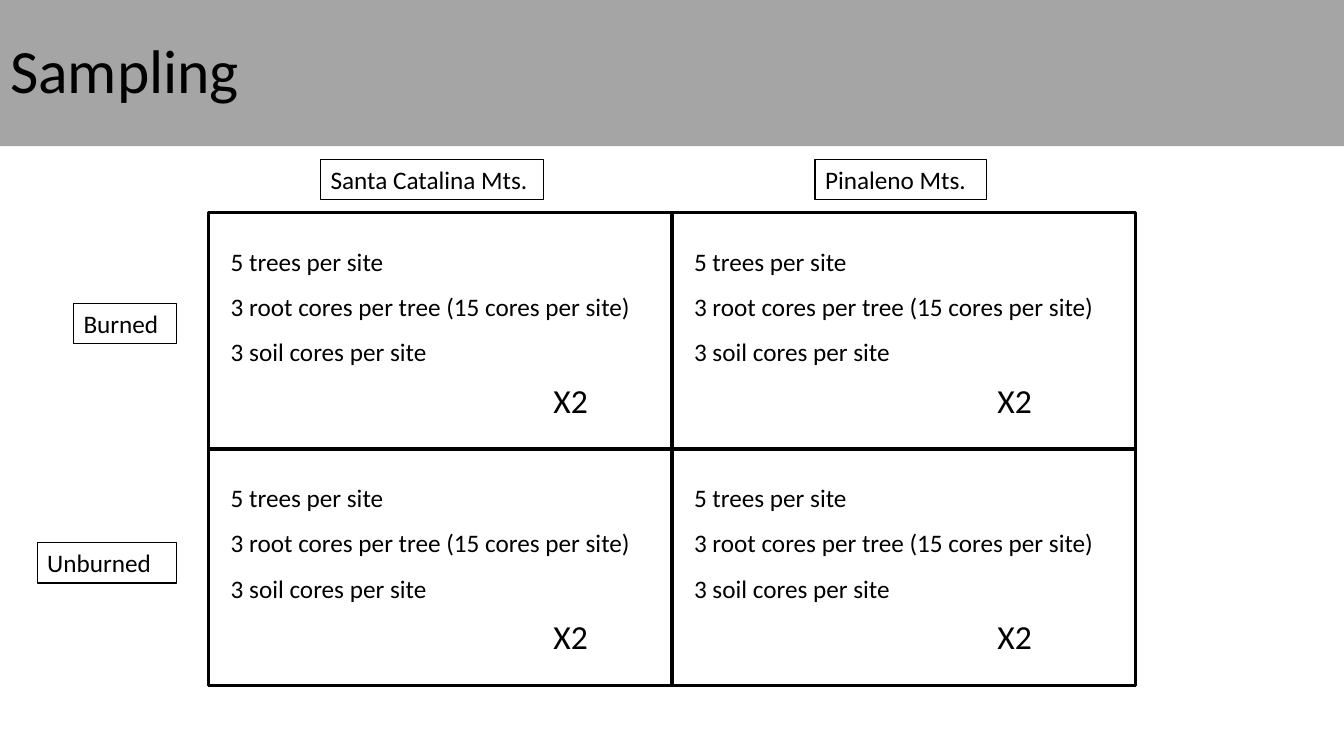
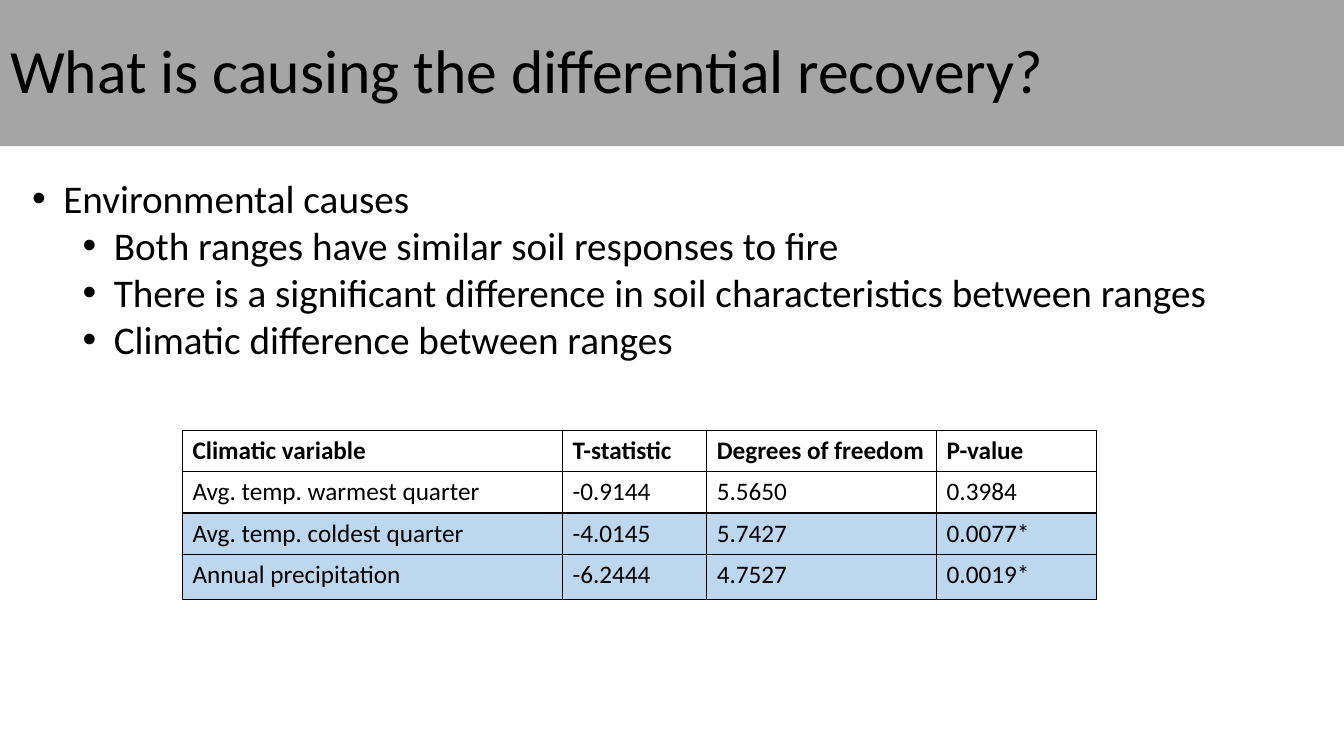
from dataclasses import dataclass

from lxml.etree import SubElement
from pptx import Presentation
from pptx.dml.color import RGBColor
from pptx.enum.shapes import MSO_CONNECTOR as Connector, MSO_SHAPE as Shape
from pptx.enum.text import MSO_ANCHOR as Anchor, MSO_AUTO_SIZE as AutoSize, PP_ALIGN as Align
from pptx.oxml.ns import qn
from pptx.util import Inches, Pt


@dataclass(frozen=True)
class Theme:
    """Colours, font, type sizes and line widths shared by the slides."""
    font: str = "Calibri"
    ink: str = "000000"
    band: str = "A5A5A5"
    paper: str = "FFFFFF"
    highlight: str = "BDD7EE"
    title_size: int = 44
    bullet_size: int = 28
    repeat_size: int = 24
    body_size: int = 18
    thick: float = 2.25
    thin: float = 1


@dataclass(frozen=True)
class Box:
    """A rectangle in inches."""
    left: float
    top: float
    width: float
    height: float

    def inches(self):
        """Return the four lengths for a python-pptx call."""
        return [Inches(v) for v in (self.left, self.top, self.width, self.height)]


THEME = Theme()
PAGE = Box(0, 0, 13.33, 7.5)
HEADER = Box(0, 0, PAGE.width, 1.45)

PLOT_LINES = [
    "5 trees per site",
    "3 root cores per tree (15 cores per site)",
    "3 soil cores per site",
]
RANGES = [("Santa Catalina Mts.", 1.11, 2.21, 3.32), ("Pinaleno Mts.", 1.42, 1.7, 3.13)]
TREATMENTS = [("Burned", 0.9, 1.02), ("Unburned", 0.93, 1.38)]
CAUSES = [
    (0, "Environmental causes"),
    (1, "Both ranges have similar soil responses to fire"),
    (1, "There is a significant difference in soil characteristics between ranges"),
    (1, "Climatic difference between ranges"),
]
CLIMATE = [
    ("Climatic variable", "T-statistic", "Degrees of freedom", "P-value"),
    ("Avg. temp. warmest quarter", "-0.9144", "5.5650", "0.3984"),
    ("Avg. temp. coldest quarter", "-4.0145", "5.7427", "0.0077*"),
    ("Annual precipitation", "-6.2444", "4.7527", "0.0019*"),
]
CLIMATE_WIDTHS = [3.77, 1.43, 2.28, 1.59]
CLIMATE_HEIGHTS = [0.41, 0.41, 0.41, 0.45]


def colour(value):
    """Turn a hex string into a colour."""
    return RGBColor.from_string(value)


def write(paragraph, text, size, bold=False, spacing=None):
    """Add one left-aligned run in the theme font."""
    paragraph.alignment = Align.LEFT
    if spacing:
        paragraph.line_spacing = spacing
    run = paragraph.add_run()
    run.text = text
    run.font.name = THEME.font
    run.font.size = Pt(size)
    run.font.bold = bold
    run.font.color.rgb = colour(THEME.ink)


def paragraphs(frame, count):
    """Return the first paragraph of a frame and as many more as needed."""
    return [frame.paragraphs[0]] + [frame.add_paragraph() for _ in range(count - 1)]


def add_text(slide, box, lines, size, spacing=None):
    """Place a wrapping text box with one paragraph per line."""
    frame = slide.shapes.add_textbox(*box.inches()).text_frame
    frame.word_wrap = True
    for paragraph, line in zip(paragraphs(frame, len(lines)), lines):
        write(paragraph, line, size, spacing=spacing)


def add_frame(slide, box, width):
    """Place an unfilled, outlined rectangle."""
    outline = slide.shapes.add_shape(Shape.RECTANGLE, *box.inches())
    outline.shadow.inherit = False
    outline.fill.background()
    outline.line.color.rgb = colour(THEME.ink)
    outline.line.width = Pt(width)
    return outline


def add_label(slide, box, text):
    """Place a thinly outlined label."""
    frame = add_frame(slide, box, THEME.thin).text_frame
    frame.word_wrap = True
    frame.vertical_anchor = Anchor.TOP
    write(frame.paragraphs[0], text, THEME.body_size)


def add_divider(slide, x1, y1, x2, y2):
    """Draw a thick straight line between two points."""
    divider = slide.shapes.add_connector(
        Connector.STRAIGHT, *[Inches(v) for v in (x1, y1, x2, y2)])
    divider.line.color.rgb = colour(THEME.ink)
    divider.line.width = Pt(THEME.thick)
    SubElement(divider._element.spPr, qn("a:effectLst"))


def add_titled_slide(deck, text):
    """Add a title-only slide whose title fills the header band."""
    slide = deck.slides.add_slide(deck.slide_layouts[5])
    title = slide.shapes.title
    title.left, title.top, title.width, title.height = HEADER.inches()
    title.fill.solid()
    title.fill.fore_color.rgb = colour(THEME.band)
    frame = title.text_frame
    frame.auto_size = AutoSize.NONE
    frame.word_wrap = True
    frame.vertical_anchor = Anchor.MIDDLE
    write(frame.paragraphs[0], text, THEME.title_size, spacing=0.9)
    return slide


def add_plot(slide, cell, repeat_left):
    """Fill one quadrant with its sampling scheme and repeat count."""
    add_text(slide, Box(cell.left + 0.12, cell.top + 0.13, 4.31, 1.42),
             PLOT_LINES, THEME.body_size, 1.5)
    add_text(slide, Box(cell.left + repeat_left, cell.top + 1.61, 0.67, 0.5),
             ["X2"], THEME.repeat_size)


def add_sampling_grid(slide, box):
    """Draw the range by treatment grid with its labels around the box."""
    width, height = box.width / 2, box.height / 2
    middle_x, middle_y = box.left + width, box.top + height
    add_frame(slide, box, THEME.thick)
    add_divider(slide, middle_x, box.top, middle_x, box.top + box.height)
    add_divider(slide, box.left, middle_y, box.left + box.width, middle_y)
    for column, (name, offset, label_width, repeat_left) in enumerate(RANGES):
        left = box.left + column * width
        add_label(slide, Box(left + offset, box.top - 0.53, label_width, 0.4), name)
        for row in range(len(TREATMENTS)):
            add_plot(slide, Box(left, box.top + row * height, width, height), repeat_left)
    for row, (name, offset, label_width) in enumerate(TREATMENTS):
        add_label(slide, Box(box.left - 0.32 - label_width,
                             box.top + row * height + offset, label_width, 0.4), name)


def add_bullets(slide, box, items):
    """Place a two-level bulleted list."""
    frame = slide.shapes.add_textbox(*box.inches()).text_frame
    frame.word_wrap = True
    for paragraph, (level, text) in zip(paragraphs(frame, len(items)), items):
        paragraph.level = level
        properties = paragraph._p.get_or_add_pPr()
        properties.set("marL", str(Inches(0.31 + 0.5 * level)))
        properties.set("indent", str(Inches(-0.31)))
        SubElement(properties, qn("a:buFont"), typeface="Arial")
        SubElement(properties, qn("a:buChar"), char="•")
        write(paragraph, text, THEME.bullet_size)


def add_borders(cell):
    """Draw thin lines on all four sides of a cell."""
    properties = cell._tc.get_or_add_tcPr()
    for side in ("lnL", "lnR", "lnT", "lnB"):
        line = SubElement(properties, qn(f"a:{side}"), w=str(Pt(THEME.thin)))
        fill = SubElement(line, qn("a:solidFill"))
        SubElement(fill, qn("a:srgbClr"), val=THEME.ink)


def add_climate_table(slide, box):
    """Place the test results and shade the significant rows."""
    table = slide.shapes.add_table(len(CLIMATE), len(CLIMATE[0]), *box.inches()).table
    table.first_row = table.horz_banding = False
    for column, width in zip(table.columns, CLIMATE_WIDTHS):
        column.width = Inches(width)
    for row, height in zip(table.rows, CLIMATE_HEIGHTS):
        row.height = Inches(height)
    for index, values in enumerate(CLIMATE):
        shade = THEME.highlight if values[-1].endswith("*") else THEME.paper
        for cell, value in zip(table.rows[index].cells, values):
            add_borders(cell)
            cell.fill.solid()
            cell.fill.fore_color.rgb = colour(shade)
            write(cell.text_frame.paragraphs[0], value, THEME.body_size, bold=index == 0)


def build_sampling(deck):
    """Build the sampling design slide."""
    slide = add_titled_slide(deck, "Sampling")
    add_sampling_grid(slide, Box(2.07, 2.11, 9.19, 4.69))


def build_recovery(deck):
    """Build the slide on causes of differential recovery."""
    slide = add_titled_slide(deck, "What is causing the differential recovery?")
    add_bullets(slide, Box(0.22, 1.68, 12.88, 1.99), CAUSES)
    add_climate_table(slide, Box(1.81, 4.27, sum(CLIMATE_WIDTHS), sum(CLIMATE_HEIGHTS)))


def main():
    """Build and save the deck."""
    deck = Presentation()
    deck.slide_width, deck.slide_height = Inches(PAGE.width), Inches(PAGE.height)
    build_sampling(deck)
    build_recovery(deck)
    deck.save("out.pptx")


if __name__ == "__main__":
    main()
